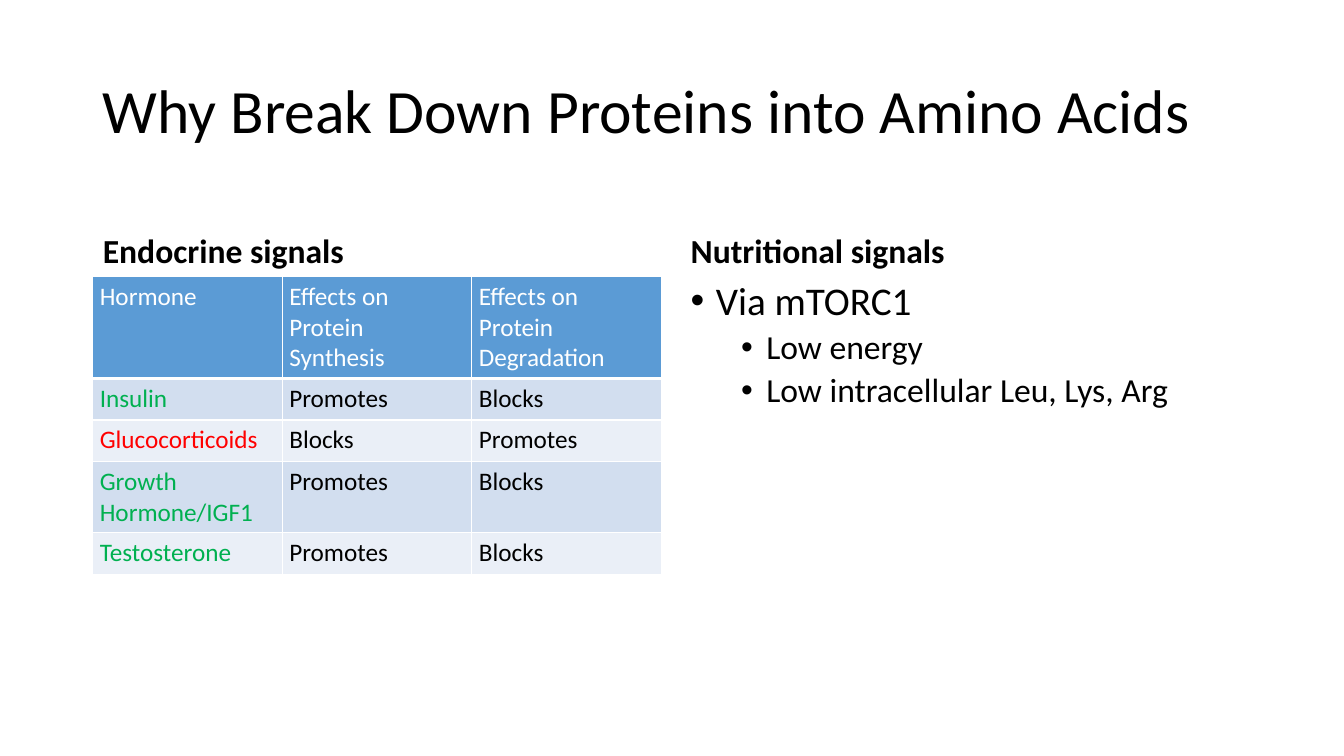
import pptx
import pptx.dml.color
import pptx.enum.text
import pptx.oxml.ns
import pptx.util
from lxml import etree
from pptx.util import Inches

FONT = "Calibri"
COLORS = {
    "text": "000000",
    "header": "5B9BD5",
    "white": "FFFFFF",
    "band_dark": "D2DEEF",
    "band_light": "EAEFF7",
    "anabolic": "00B050",
    "catabolic": "FF0000",
}
HEADINGS = ["Hormone", "Effects on Protein Synthesis", "Effects on Protein Degradation"]
HORMONES = [
    ("Insulin", "anabolic"),
    ("Glucocorticoids", "catabolic"),
    ("Growth Hormone/IGF1", "anabolic"),
    ("Testosterone", "anabolic"),
]
EFFECTS = {"anabolic": ["Promotes", "Blocks"], "catabolic": ["Blocks", "Promotes"]}
NUTRITION = [("Via mTORC1", 0), ("Low energy", 1), ("Low intracellular Leu, Lys, Arg", 1)]

LEFT, RIGHT = 0.92, 6.75
HEADING_TOP, CONTENT_TOP = 1.84, 2.74
TABLE_WIDTH, LIST_WIDTH = 5.64, 5.67


def rgb(name):
    return pptx.dml.color.RGBColor.from_string(COLORS[name])


def format_paragraph(paragraph, size, color="text", bold=False):
    paragraph.alignment = pptx.enum.text.PP_ALIGN.LEFT
    for run in paragraph.runs:
        run.font.name = FONT
        run.font.size = pptx.util.Pt(size)
        run.font.bold = bold
        run.font.color.rgb = rgb(color)


def place(placeholder, left, top, width, height, anchor):
    placeholder.left, placeholder.top = Inches(left), Inches(top)
    placeholder.width, placeholder.height = Inches(width), Inches(height)
    frame = placeholder.text_frame
    frame.word_wrap = True
    frame.auto_size = pptx.enum.text.MSO_AUTO_SIZE.NONE
    frame.vertical_anchor = anchor
    return frame


def fill_heading(placeholder, text, box, size, anchor, bold=False):
    frame = place(placeholder, *box, anchor)
    frame.text = text
    paragraph = frame.paragraphs[0]
    paragraph.line_spacing = 0.9
    paragraph.space_before = pptx.util.Pt(0)
    format_paragraph(paragraph, size, bold=bold)


def add_bullet(paragraph, indent):
    properties = paragraph._p.get_or_add_pPr()
    properties.set("marL", str(Inches(indent)))
    properties.set("indent", str(Inches(-0.25)))
    font = etree.SubElement(properties, pptx.oxml.ns.qn("a:buFont"))
    font.set("typeface", "Arial")
    bullet = etree.SubElement(properties, pptx.oxml.ns.qn("a:buChar"))
    bullet.set("char", "•")


def fill_list(placeholder, items, box):
    frame = place(placeholder, *box, pptx.enum.text.MSO_ANCHOR.TOP)
    frame.text = "\n".join(text for text, _ in items)
    for index, (paragraph, (_, level)) in enumerate(zip(frame.paragraphs, items)):
        add_bullet(paragraph, 0.25 + 0.5 * level)
        paragraph.level = level
        paragraph.line_spacing = 0.9
        paragraph.space_before = pptx.util.Pt(5 if index else 0)
        format_paragraph(paragraph, 24 if level else 28)


def add_header_borders(cell):
    """Draw thin white sides and a heavier white line under a header cell."""
    properties = cell._tc.get_or_add_tcPr()
    for position, (side, points) in enumerate([("L", 1), ("R", 1), ("T", 1), ("B", 3)]):
        line = etree.Element(pptx.oxml.ns.qn(f"a:ln{side}"), w=str(pptx.util.Pt(points)))
        solid = etree.SubElement(line, pptx.oxml.ns.qn("a:solidFill"))
        etree.SubElement(solid, pptx.oxml.ns.qn("a:srgbClr"), val=COLORS["white"])
        properties.insert(position, line)


def fill_cell(cell, text, fill, color):
    cell.fill.solid()
    cell.fill.fore_color.rgb = rgb(fill)
    cell.margin_left = cell.margin_right = Inches(0.07)
    cell.margin_top = cell.margin_bottom = Inches(0.05)
    cell.text = text
    format_paragraph(cell.text_frame.paragraphs[0], 18, color)


def add_hormone_table(slide):
    row_height = 0.41
    rows, columns = len(HORMONES) + 1, len(HEADINGS)
    table = slide.shapes.add_table(
        rows, columns, Inches(LEFT), Inches(CONTENT_TOP),
        Inches(TABLE_WIDTH), Inches(row_height * rows),
    ).table
    for cell, heading in zip(table.rows[0].cells, HEADINGS):
        fill_cell(cell, heading, "header", "white")
        add_header_borders(cell)
    for row, (hormone, action) in enumerate(HORMONES, start=1):
        band = "band_dark" if row % 2 else "band_light"
        for column, text in enumerate([hormone, *EFFECTS[action]]):
            fill_cell(table.cell(row, column), text, band, "text" if column else action)


def main():
    deck = pptx.Presentation()
    deck.slide_width, deck.slide_height = Inches(13.33), Inches(7.5)
    slide = deck.slides.add_slide(deck.slide_layouts.get_by_name("Comparison"))
    title, endocrine, table_slot, nutritional, signals = slide.placeholders
    table_slot.element.getparent().remove(table_slot.element)

    anchors = pptx.enum.text.MSO_ANCHOR
    fill_heading(title, "Why Break Down Proteins into Amino Acids",
                 (LEFT, 0.4, 11.5, 1.45), 44, anchors.MIDDLE)
    fill_heading(endocrine, "Endocrine signals",
                 (LEFT, HEADING_TOP, TABLE_WIDTH, 0.9), 24, anchors.BOTTOM, bold=True)
    add_hormone_table(slide)
    fill_heading(nutritional, "Nutritional signals",
                 (RIGHT, HEADING_TOP, LIST_WIDTH, 0.9), 24, anchors.BOTTOM, bold=True)
    fill_list(signals, NUTRITION, (RIGHT, CONTENT_TOP, LIST_WIDTH, 4.03))
    deck.save("out.pptx")


if __name__ == "__main__":
    main()
